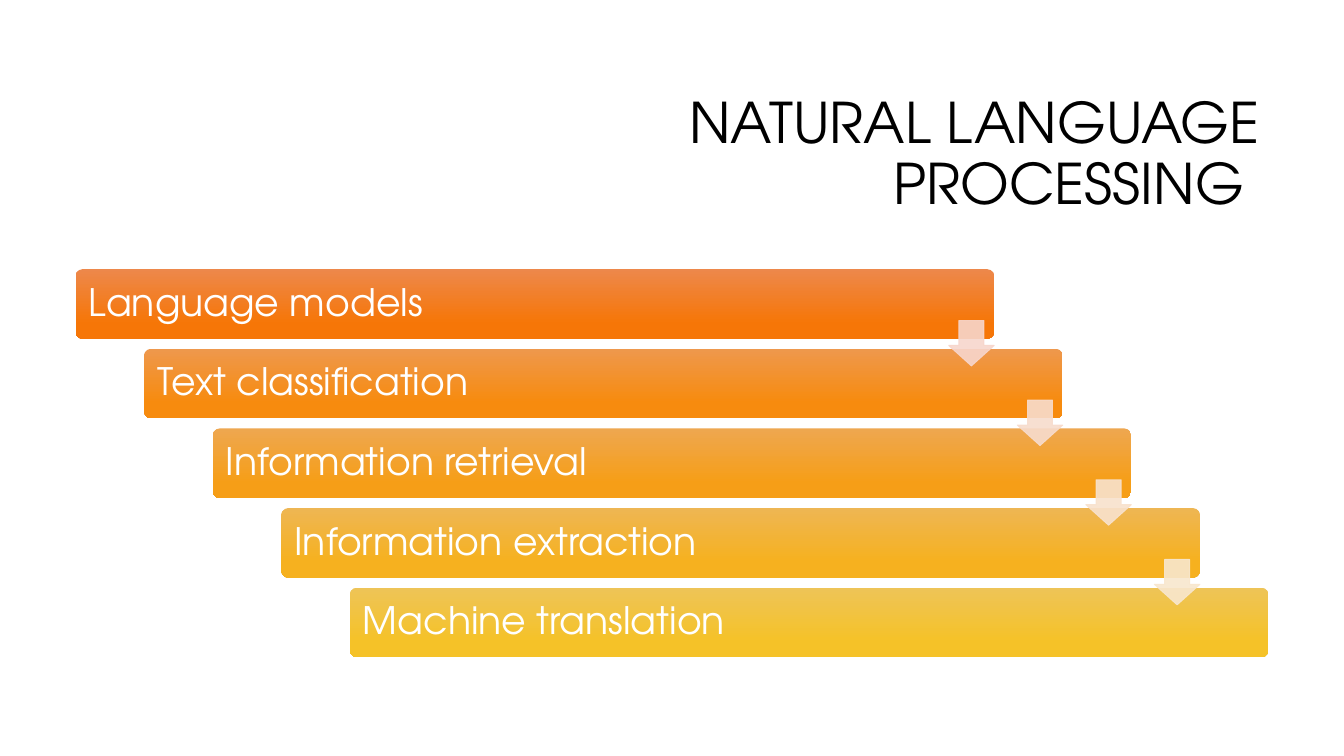
import pptx
import pptx.util
import pptx.dml.color
import pptx.enum.shapes
import pptx.enum.text
import pptx.oxml.ns
import lxml.etree

Inches = pptx.util.Inches
Pt = pptx.util.Pt
Color = pptx.dml.color.RGBColor.from_string
Shape = pptx.enum.shapes.MSO_SHAPE
Align = pptx.enum.text.PP_ALIGN
Anchor = pptx.enum.text.MSO_ANCHOR


class Theme:
    font = "TeX Gyre Adventor"
    title_size, bar_size = 40, 27
    title_ink, bar_ink = "000000", "FFFFFF"
    # Top and bottom colour of each bar
    bars = [("ED884B", "F67607"), ("EE984D", "F78B0E"), ("EEA750", "F69E17"),
            ("EEB653", "F6B11F"), ("EEC457", "F5C228")]
    arrows = ["F7D6CC", "F7DCCD", "F8E2CD", "F8E7CE"]
    fade = 90  # arrow opacity in percent


class Deck:
    def __init__(self, theme):
        self.theme = theme
        self.show = pptx.Presentation()
        self.show.slide_width = Inches(13.33)
        self.show.slide_height = Inches(7.5)
        self.slide = self.show.slides.add_slide(self.show.slide_layouts[6])

    def label(self, shape, text, size, ink, align):
        frame = shape.text_frame
        frame.word_wrap = True
        frame.vertical_anchor = Anchor.MIDDLE
        frame.text = text
        line = frame.paragraphs[0]
        line.alignment = align
        line.line_spacing = 0.9
        font = line.runs[0].font
        font.name = self.theme.font
        font.size = Pt(size)
        font.color.rgb = Color(ink)

    def title(self, text, left, top, width, height):
        box = self.slide.shapes.add_textbox(
            Inches(left), Inches(top), Inches(width), Inches(height))
        self.label(box, text, self.theme.title_size, self.theme.title_ink,
                   Align.RIGHT)

    def form(self, kind, left, top, width, height, adjust):
        shape = self.slide.shapes.add_shape(
            kind, Inches(left), Inches(top), Inches(width), Inches(height))
        shape.shadow.inherit = False
        for i, value in enumerate(adjust):
            shape.adjustments[i] = value
        return shape

    def bar(self, text, left, top, width, height, shades):
        bar = self.form(Shape.ROUNDED_RECTANGLE, left, top, width, height, [0.1])
        bar.line.fill.background()
        bar.fill.gradient()
        bar.fill.gradient_angle = 270
        for stop, shade, place in zip(bar.fill.gradient_stops, shades, (0, 0.78)):
            stop.color.rgb = Color(shade)
            stop.position = place
        frame = bar.text_frame
        frame.margin_left = frame.margin_right = Inches(0.11)
        frame.margin_top = frame.margin_bottom = Inches(0.11)
        self.label(bar, text, self.theme.bar_size, self.theme.bar_ink, Align.LEFT)

    def arrow(self, left, top, size, shade):
        arrow = self.form(Shape.DOWN_ARROW, left, top, size, size, [0.55, 0.45])
        arrow.fill.solid()
        arrow.fill.fore_color.rgb = Color(shade)
        arrow.line.color.rgb = Color(shade)
        arrow.line.width = Pt(0.75)
        # Transparency of fill and line
        qn = pptx.oxml.ns.qn
        for tint in arrow.element.spPr.iter(qn("a:srgbClr")):
            alpha = lxml.etree.SubElement(tint, qn("a:alpha"))
            alpha.set("val", str(self.theme.fade * 1000))


def main():
    theme = Theme()
    deck = Deck(theme)
    deck.title("NATURAL LANGUAGE PROCESSING ", 3.17, 0.84, 9.42, 1.41)

    # Staircase of tasks
    left, top, width, height = 0.75, 2.67, 9.11, 0.69
    step, drop = 0.68, 0.79
    tasks = ["Language models", "Text classification", "Information retrieval",
             "Information extraction", "Machine translation"]
    for i, (task, shades) in enumerate(zip(tasks, theme.bars)):
        deck.bar(task, left + i * step, top + i * drop, width, height, shades)

    # Arrows from each step to the next, flush with the bar's right end
    size = 0.45
    for i, shade in enumerate(theme.arrows):
        deck.arrow(left + width - size + i * step, top + 0.51 + i * drop,
                   size, shade)

    deck.show.save("out.pptx")


if __name__ == "__main__":
    main()
